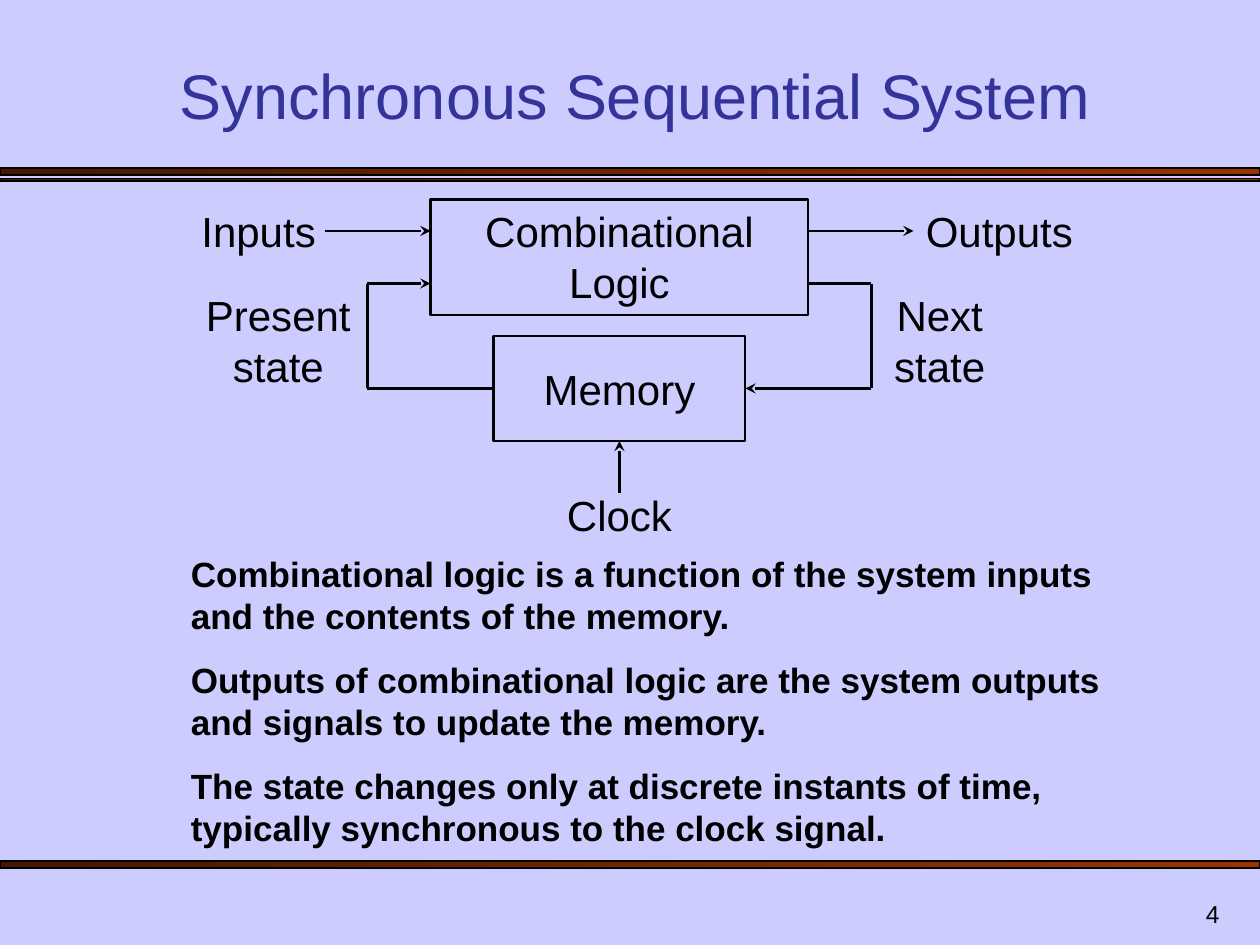
from pptx import Presentation
from pptx import util as u
from pptx.dml.color import RGBColor
from pptx.enum import shapes, text
from pptx.oxml.ns import qn
from lxml import etree

Pt = u.Pt
BLACK = RGBColor(0x00, 0x00, 0x00)
LAVENDER = RGBColor(0xCC, 0xCC, 0xFF)
INDIGO = RGBColor(0x33, 0x33, 0x99)
DARK_BROWN = RGBColor(0x46, 0x17, 0x00)
RUST = RGBColor(0x99, 0x33, 0x00)

LEFT, CENTER, RIGHT = text.PP_ALIGN.LEFT, text.PP_ALIGN.CENTER, text.PP_ALIGN.RIGHT
TOP, BOTTOM = text.MSO_ANCHOR.TOP, text.MSO_ANCHOR.BOTTOM


class Painter:
    """Holds the style and the page being drawn."""

    font_name = "Arial"
    line_width = 1.25
    bar_line_width = 0.75

    def __init__(self, page):
        self.page = page
        fill = page.background.fill
        fill.solid()
        fill.fore_color.rgb = LAVENDER

    def rectangle(self, left, top, width, height, line_width):
        box = self.page.shapes.add_shape(
            shapes.MSO_SHAPE.RECTANGLE, Pt(left), Pt(top), Pt(width), Pt(height))
        box.shadow.inherit = False
        box.line.color.rgb = BLACK
        box.line.width = Pt(line_width)
        return box

    def bar(self, top, height):
        fill = self.rectangle(0, top, 720, height, self.bar_line_width).fill
        fill.gradient()
        fill.gradient_angle = 0
        for stop, color in zip(fill.gradient_stops, (DARK_BROWN, RUST)):
            stop.color.rgb = color

    def block(self, left, top, width, height):
        self.rectangle(left, top, width, height, self.line_width).fill.background()

    def label(self, left, top, width, height, *lines, align=CENTER,
              anchor=TOP, gap=0, **formats):
        box = self.page.shapes.add_textbox(Pt(left), Pt(top), Pt(width), Pt(height))
        frame = box.text_frame
        frame.word_wrap = True
        frame.vertical_anchor = anchor
        style = {"name": self.font_name, "size": Pt(24), "bold": False} | formats
        color = style.pop("color", BLACK)
        for index, line in enumerate(lines):
            para = frame.add_paragraph() if index else frame.paragraphs[0]
            para.text = line
            para.alignment = align
            if index:
                para.space_before = Pt(gap)
            for span in para.runs:
                for key, value in style.items():
                    setattr(span.font, key, value)
                span.font.color.rgb = color

    def path_line(self, *points, arrow=True):
        """Joins the points with straight lines; the last may carry an arrowhead."""
        for index, (start, end) in enumerate(zip(points, points[1:]), 1):
            line = self.page.shapes.add_connector(
                shapes.MSO_CONNECTOR.STRAIGHT, *map(Pt, start + end))
            line.line.color.rgb = BLACK
            line.line.width = Pt(self.line_width)
            if arrow and index == len(points) - 1:
                etree.SubElement(line.line._get_or_add_ln(), qn("a:tailEnd"), type="stealth")
            etree.SubElement(line._element.spPr, qn("a:effectLst"))


def main():
    deck = Presentation()
    deck.slide_width, deck.slide_height = Pt(720), Pt(540)
    painter = Painter(deck.slides.add_slide(deck.slide_layouts[6]))

    # Rules and title
    for top, height in ((96, 4), (102, 1.5), (492, 4)):
        painter.bar(top, height)
    painter.label(42, 30, 642, 49, "Synchronous Sequential System",
                  anchor=BOTTOM, size=Pt(36), color=INDIGO)

    # Blocks
    painter.block(246, 114, 216, 66)
    painter.block(282, 192, 144, 60)
    painter.label(264, 114, 180, 65, "Combinational Logic")
    painter.label(282, 204, 144, 36, "Memory")

    # Signals
    painter.path_line((186, 132), (246, 132))
    painter.path_line((462, 132), (522, 132))
    painter.path_line((282, 222), (210, 222), (210, 162), (246, 162))
    painter.path_line((462, 162), (498, 162), (498, 222), (426, 222))
    painter.path_line((354, 282), (354, 252))

    # Signal names
    painter.label(108, 114, 90, 36, "Inputs", align=LEFT)
    painter.label(522, 114, 108, 36, "Outputs", align=LEFT)
    painter.label(498, 162, 78, 65, "Next\nstate")
    painter.label(96, 162, 126, 65, "Present\nstate")
    painter.label(300, 276, 108, 36, "Clock")

    # Explanation and page number
    painter.label(
        102, 312, 540, 176,
        "Combinational logic is a function of the system inputs and the contents of the memory.",
        "Outputs of combinational logic are the system outputs and signals to update the memory.",
        "The state changes only at discrete instants of time, "
        "typically synchronous to the clock signal.",
        align=LEFT, gap=12.5, size=Pt(20), bold=True)
    painter.label(554, 504, 150, 30, "4", align=RIGHT, anchor=BOTTOM, size=Pt(14))

    deck.save("out.pptx")


if __name__ == "__main__":
    main()
